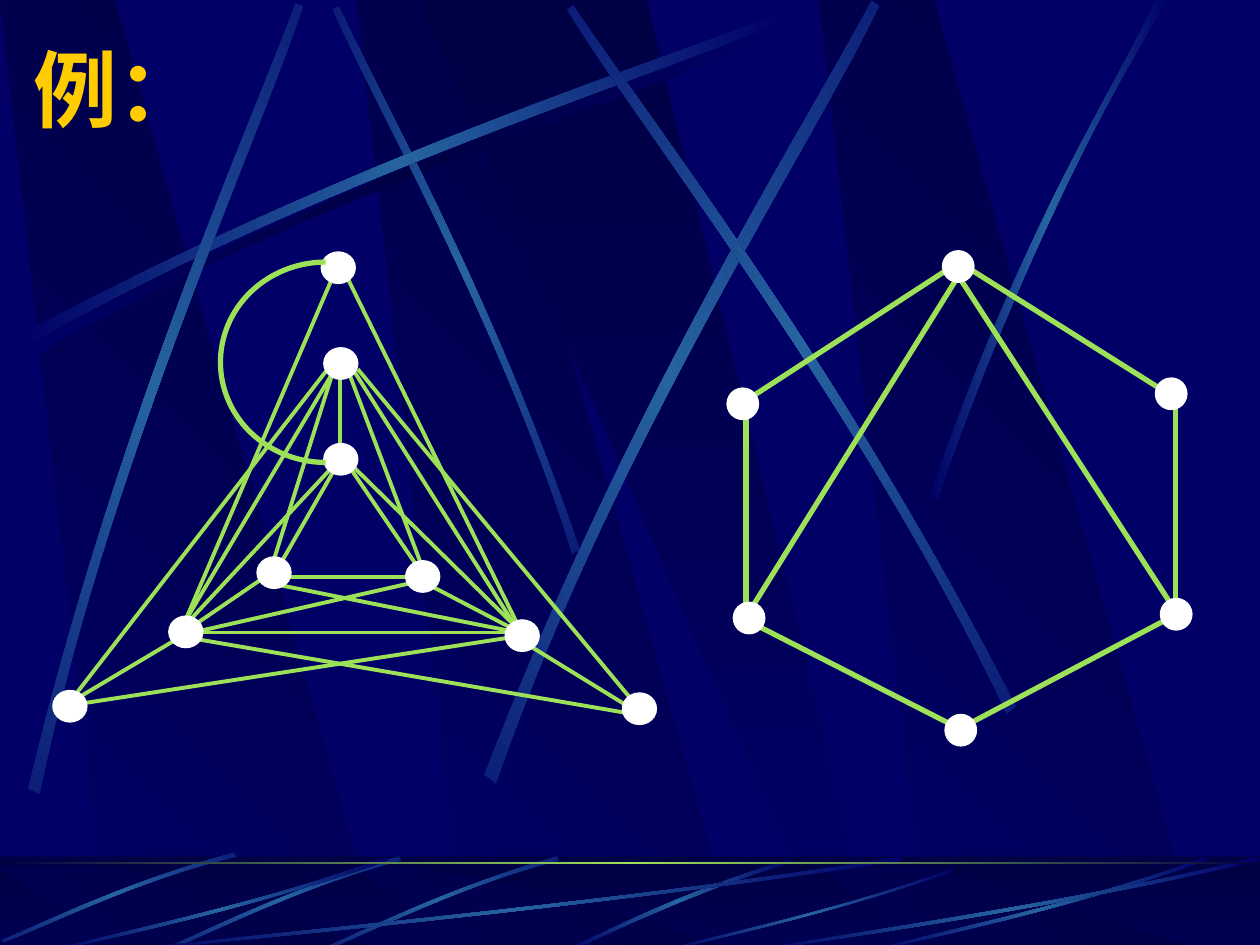
from math import cos, radians, sin

from lxml.etree import SubElement
from pptx import Presentation
from pptx.dml.color import RGBColor
from pptx.enum.shapes import MSO_CONNECTOR, MSO_SHAPE
from pptx.enum.text import MSO_ANCHOR
from pptx.oxml.ns import qn
from pptx.util import Inches, Pt

rgb = RGBColor.from_string
NAVY, DARK, STEEL, GREEN, WHITE = "000066", "000044", "2663A0", "9CE157", "FFFFFF"
BEAM, SHADE, STREAK = (DARK, NAVY), (NAVY, DARK, NAVY), (NAVY, STEEL, NAVY)

prs = Presentation()
prs.slide_width, prs.slide_height = Inches(10), Inches(7.5)
slide = prs.slides.add_slide(prs.slide_layouts[6])
slide.background.fill.solid()
slide.background.fill.fore_color.rgb = rgb(NAVY)
shapes = slide.shapes


def paint(shape, colours, angle):
    """Fill with evenly spaced gradient stops, clockwise angle, no outline or shadow."""
    shape.shadow.inherit = False
    shape.line.fill.background()
    shape.fill.solid()
    solid = shape._element.spPr.find(qn("a:solidFill"))
    grad = solid.makeelement(qn("a:gradFill"), {"rotWithShape": "1"})
    stops = SubElement(grad, qn("a:gsLst"))
    for i, colour in enumerate(colours):
        position = str(100000 * i // (len(colours) - 1))
        stop = SubElement(stops, qn("a:gs"), pos=position)
        SubElement(stop, qn("a:srgbClr"), val=colour)
    SubElement(grad, qn("a:lin"), ang=str(angle * 60000), scaled="0")
    solid.getparent().replace(solid, grad)


def add_outline(points, colours, angle, rotation=0):
    """Draw four corners, or eight control points of two curves, in a frame turned by rotation."""
    xs, ys = zip(*points)
    mid_x, mid_y = (min(xs) + max(xs)) / 2, (min(ys) + max(ys)) / 2
    c, s = cos(radians(rotation)), sin(radians(rotation))
    unturned = [(Inches(mid_x + (x - mid_x) * c + (y - mid_y) * s),
                 Inches(mid_y - (x - mid_x) * s + (y - mid_y) * c)) for x, y in points]
    builder = shapes.build_freeform(*unturned[0])
    builder.add_line_segments(unturned[1:], close=True)
    outline = builder.convert_to_shape()
    outline.rotation = rotation
    paint(outline, colours, angle)
    if len(points) == 8:
        segments = list(outline._element.iter(qn("a:lnTo")))
        for first in (0, 4):
            curve = segments[first].makeelement(qn("a:cubicBezTo"), {})
            segments[first].addprevious(curve)
            for segment in segments[first:first + 3]:
                curve.append(segment[0])
                segment.getparent().remove(segment)


# Each streak: rotation, colours, x offsets, two cubic curves of four points
wall_streaks = [
    (0, SHADE, [0], [(0.2, 2.75), (2.84, 1.34), (5.24, 0.59), (6.26, 0.18),
                     (6.29, 0.24), (5.28, 0.69), (2.54, 1.51), (0.23, 2.85)]),
    (45, STREAK, [0], [(4.6, 4.36), (3.91, 2.34), (3.02, 0.77), (2.69, 0.05),
                       (2.64, 0.07), (2.95, 0.79), (3.98, 2.58), (4.54, 4.39)]),
    (0, STREAK, [0], [(0.14, 2.67), (2.78, 1.25), (5.18, 0.51), (6.2, 0.1),
                      (6.23, 0.16), (5.22, 0.61), (2.48, 1.43), (0.17, 2.77)]),
    (311.7, STREAK, [0], [(0.23, 6.25), (0.93, 3.34), (1.97, 1.05), (2.35, 0.02),
                          (2.41, 0.04), (2.07, 1.08), (0.86, 3.68), (0.32, 6.29)]),
    (321.6, STREAK, [0], [(3.85, 6.14), (4.98, 3.2), (6.38, 1.02), (6.92, 0),
                          (6.98, 0.04), (6.49, 1.08), (4.86, 3.55), (3.94, 6.21)]),
    (34.8, STREAK, [0], [(8.06, 5.6), (6.7, 2.93), (5.16, 0.95), (4.55, 0.04),
                         (4.5, 0.07), (5.07, 1.01), (6.85, 3.25), (7.99, 5.66)]),
    (0, STREAK, [0], [(7.38, 3.93), (8.14, 1.73), (8.88, 0.66), (9.17, 0),
                      (9.27, 0), (8.36, 1.45), (7.69, 3.22), (7.44, 3.97)]),
]
floor_streaks = [
    (0, STREAK, [0], [(6.27, 6.82), (5.37, 7.09), (4.77, 7.42), (4.48, 7.54),
                      (4.53, 7.55), (4.9, 7.37), (5.71, 7), (6.28, 6.85)]),
    (314.9, STREAK, [0, -1.25], [(4.42, 6.8), (3.55, 7.05), (2.87, 7.4), (2.56, 7.53),
                                 (2.57, 7.55), (2.88, 7.43), (3.65, 7.03), (4.44, 6.83)]),
    (314.9, STREAK, [0], [(1.86, 6.77), (0.99, 7), (0.33, 7.34), (0.02, 7.46),
                          (0.03, 7.48), (0.34, 7.37), (1.1, 6.98), (1.88, 6.8)]),
    (0, STREAK, [0], [(7.17, 6.83), (4.49, 7.23), (2.06, 7.44), (1.03, 7.55),
                      (1, 7.54), (2.02, 7.41), (4.8, 7.18), (7.14, 6.8)]),
    (0, STREAK, [0, 6.5], [(3.08, 6.83), (1.93, 7.23), (0.88, 7.44), (0.43, 7.55),
                           (0.42, 7.54), (0.86, 7.41), (2.06, 7.18), (3.07, 6.8)]),
    (0, STREAK, [0], [(7.58, 6.91), (6.58, 7.26), (5.67, 7.45), (5.28, 7.55),
                      (5.27, 7.54), (5.65, 7.43), (6.69, 7.22), (7.57, 6.89)]),
    (0, STREAK, [0], [(10, 6.83), (8.27, 7.23), (6.69, 7.44), (6.02, 7.55),
                      (6, 7.54), (6.66, 7.41), (8.46, 7.18), (9.98, 6.8)]),
]

# Backdrop: the wall first, then the floor strip with the same beams flattened
for top, bottom, streaks in [(0, 7.52, wall_streaks), (6.88, 7.54, floor_streaks)]:
    is_floor = top > 0
    if is_floor:
        floor = shapes.add_shape(MSO_SHAPE.RECTANGLE, 0, Inches(6.8), Inches(10), Inches(0.75))
        paint(floor, BEAM, 90)
    for x in (2.83, 0, 6.5):
        add_outline([(x + 0.86, bottom), (x + 3.02, bottom), (x + 0.91, top), (x, top)],
                    BEAM, 135)
    add_outline([(3.33, top), (6.58, bottom), (6.94, bottom), (5.13, top)], BEAM, 90)
    if is_floor:
        veil = shapes.add_shape(MSO_SHAPE.RECTANGLE, 0, Inches(6.79), Inches(10), Inches(0.75))
        veil.shadow.inherit = False
        veil.line.fill.background()
        veil.fill.solid()
        veil.fill.fore_color.rgb = rgb(DARK)
        veil_colour = veil._element.spPr.find(qn("a:solidFill"))[0]
        SubElement(veil_colour, qn("a:alpha"), val="50000")
    for rotation, colours, offsets, controls in streaks:
        for offset in offsets:
            add_outline([(x + offset, y) for x, y in controls], colours, 180, rotation)

horizon = shapes.add_shape(MSO_SHAPE.RECTANGLE, 0, Inches(6.84), Inches(10), Inches(0.02))
paint(horizon, (DARK, GREEN, DARK), 180)

# Title
title = shapes.add_textbox(Inches(0.17), Inches(0.25), Inches(8.5), Inches(0.9)).text_frame
title.word_wrap = True
title.vertical_anchor = MSO_ANCHOR.MIDDLE
title.text = "例："
title_font = title.paragraphs[0].runs[0].font
title_font.name, title_font.size, title_font.bold = "Times New Roman", Pt(48), True
title_font.color.rgb = rgb("FFCC00")

# Graphs: edges as x1, y1, x2, y2 and vertices as left, top
triangle_edges = [
    (2.25, 4.58, 3.25, 4.58), (2.7, 2.96, 2.7, 3.58), (1.53, 5.02, 4.17, 5.02),
    (2.67, 3.7, 2.2, 4.52), (2.77, 3.7, 3.37, 4.58), (2.64, 2.96, 2.14, 4.55),
    (2.64, 2.2, 1.43, 5.02), (2.74, 2.17, 4.11, 4.96), (2.77, 2.96, 3.37, 4.55),
    (2.8, 2.93, 4.14, 5.05), (2.64, 2.96, 1.47, 4.93), (2.84, 2.93, 5.01, 5.55),
    (2.6, 2.93, 0.57, 5.55), (4.13, 5.08, 5.04, 5.64), (1.43, 5.05, 5.04, 5.67),
    (3.4, 4.64, 4.07, 4.99), (2.1, 4.58, 1.5, 4.99), (1.39, 5.08, 0.6, 5.55),
    (2.2, 4.64, 4.11, 5.02), (0.67, 5.58, 4.11, 5.05), (2.8, 3.7, 4.11, 4.99),
    (1.53, 5.02, 3.34, 4.61), (1.5, 4.93, 2.7, 3.64),
]
triangle_vertices = [(0.42, 5.48), (1.34, 4.89), (2.04, 4.42), (2.55, 2), (2.57, 2.76),
                     (2.57, 3.52), (3.22, 4.45), (4.01, 4.92), (4.94, 5.5)]
hexagon_edges = [
    (5.92, 3.17, 5.92, 4.92), (7.55, 2.12, 5.95, 3.16), (9.31, 4.89, 7.68, 5.75),
    (7.61, 2.08, 9.28, 3.13), (5.92, 4.92, 7.55, 5.75), (7.58, 2.15, 9.31, 4.82),
    (7.65, 2.12, 5.95, 4.85), (9.33, 3.08, 9.33, 4.83),
]
hexagon_vertices = [(7.5, 5.67), (9.21, 4.75), (9.17, 3), (7.48, 1.99), (5.77, 3.08),
                    (5.82, 4.78)]

for edges, weight, vertices, vertex_width in [
        (triangle_edges, 2.25, triangle_vertices, 0.27),
        (hexagon_edges, 3, hexagon_vertices, 0.25)]:
    for ends in edges:
        edge = shapes.add_connector(MSO_CONNECTOR.STRAIGHT, *map(Inches, ends))
        edge.line.color.rgb = rgb(GREEN)
        edge.line.width = Pt(weight)
        SubElement(edge._element.spPr, qn("a:effectLst"))
    for left, top in vertices:
        vertex = shapes.add_shape(MSO_SHAPE.OVAL, Inches(left), Inches(top),
                                  Inches(vertex_width), Inches(0.25))
        vertex.shadow.inherit = False
        vertex.fill.solid()
        vertex.fill.fore_color.rgb = rgb(WHITE)
        vertex.line.color.rgb = rgb(WHITE)
        vertex.line.width = Pt(0.75)

# Curved edge: the left half of an ellipse, from 90 to 270 degrees
loop = shapes.add_shape(MSO_SHAPE.ARC, Inches(1.75), Inches(2.08), Inches(1.67), Inches(1.59))
loop.adjustments[0], loop.adjustments[1] = 54.0, 162.0
loop.shadow.inherit = False
loop.fill.background()
loop.line.color.rgb = rgb(GREEN)
loop.line.width = Pt(3)

prs.save("out.pptx")
